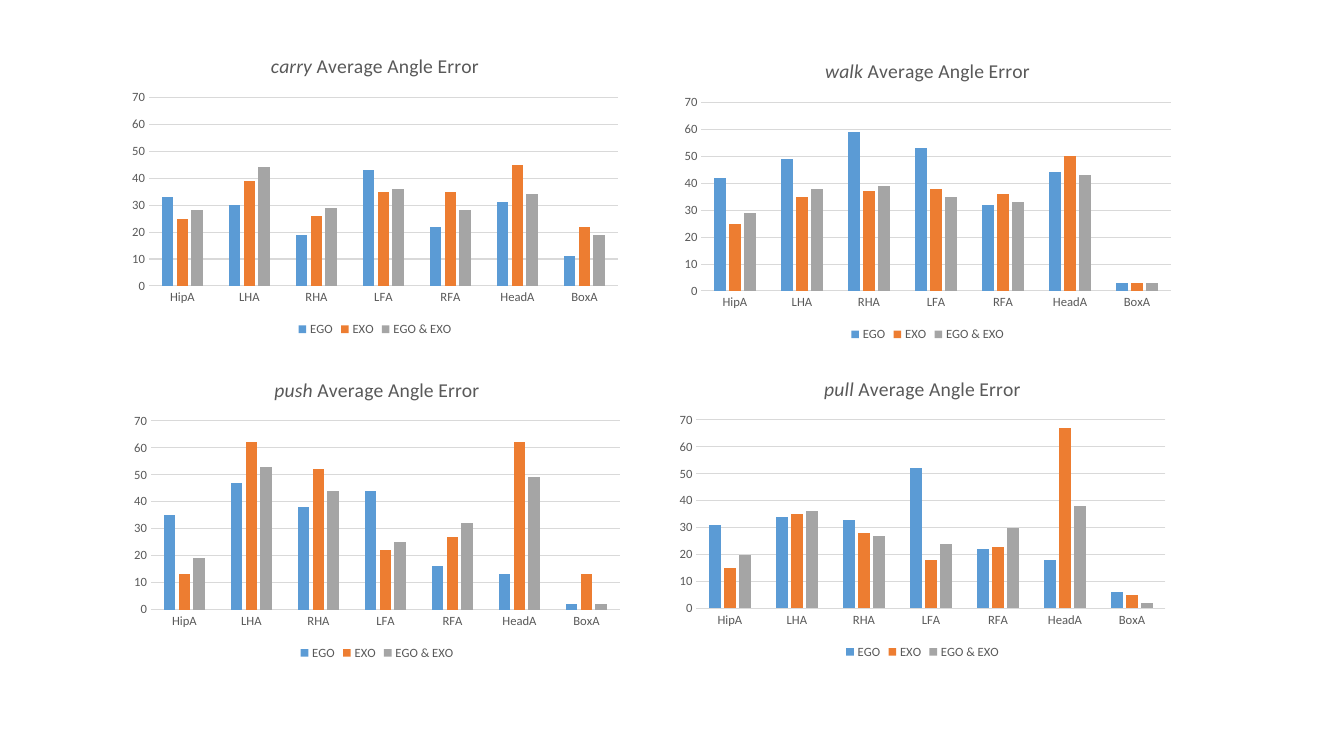
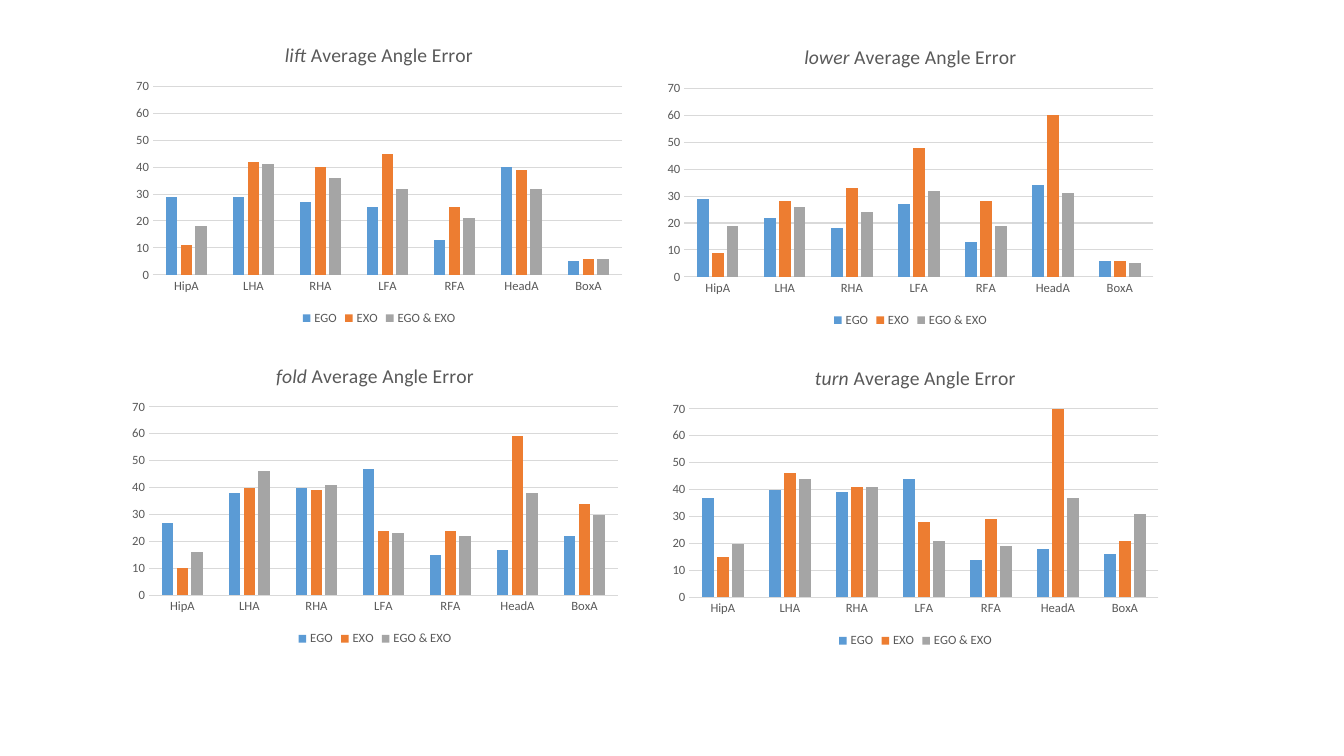
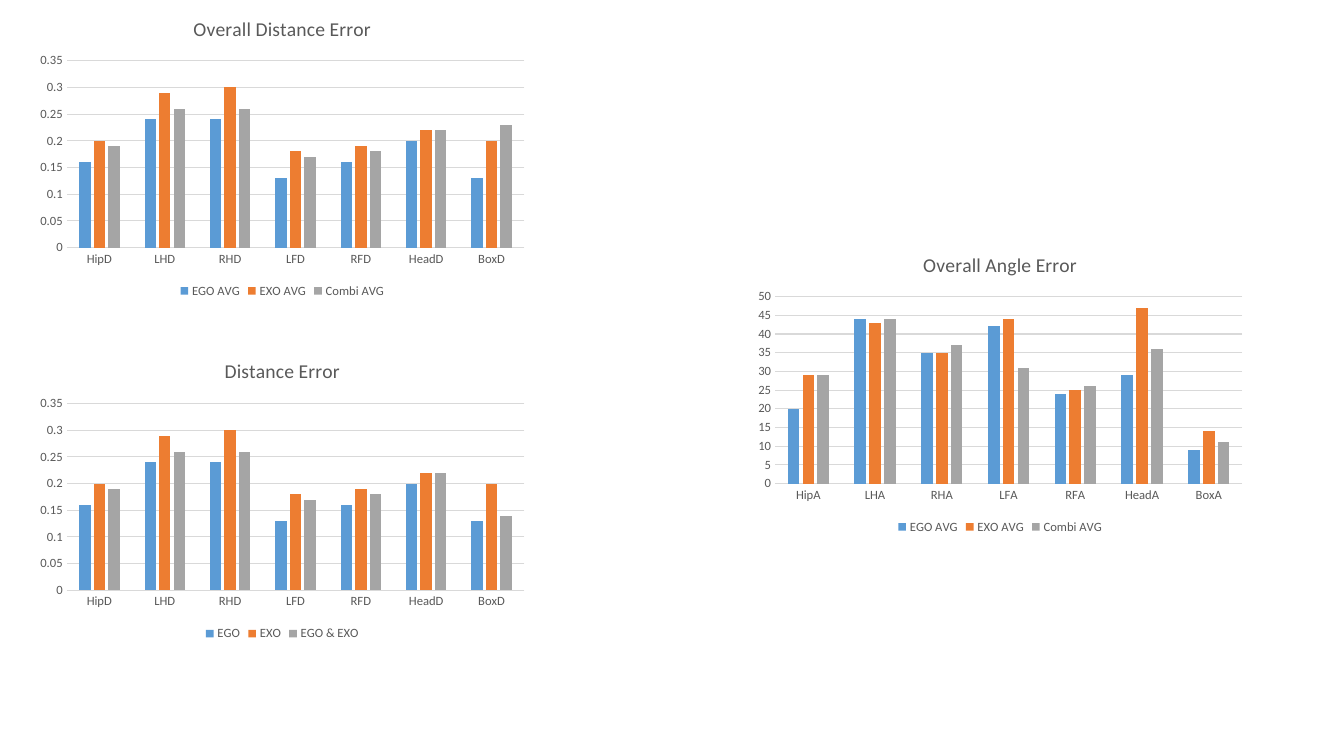
from pptx import Presentation
from pptx.chart.data import CategoryChartData
from pptx.dml.color import RGBColor
from pptx.enum.chart import XL_CHART_TYPE, XL_LEGEND_POSITION, XL_TICK_MARK
from pptx.util import Inches, Pt

PARTS = ["Hip", "LH", "RH", "LF", "RF", "Head", "Box"]
MODES = ["EGO", "EXO", "EGO & EXO"]
MEANS = ["EGO AVG", "EXO AVG", "Combi AVG"]

TASKS = [
    [
        ("carry", 1.21, 0.38, [[33, 30, 19, 43, 22, 31, 11],
                               [25, 39, 26, 35, 35, 45, 22],
                               [28, 44, 29, 36, 28, 34, 19]]),
        ("pull", 6.64, 3.58, [[31, 34, 33, 52, 22, 18, 6],
                              [15, 35, 28, 18, 23, 67, 5],
                              [20, 36, 27, 24, 30, 38, 2]]),
        ("push", 1.23, 3.59, [[35, 47, 38, 44, 16, 13, 2],
                              [13, 62, 52, 22, 27, 62, 13],
                              [19, 53, 44, 25, 32, 49, 2]]),
        ("walk", 6.69, 0.43, [[42, 49, 59, 53, 32, 44, 3],
                              [25, 35, 37, 38, 36, 50, 3],
                              [29, 38, 39, 35, 33, 43, 3]]),
    ],
    [
        ("fold", 1.21, 3.45, [[27, 38, 40, 47, 15, 17, 22],
                              [10, 40, 39, 24, 24, 59, 34],
                              [16, 46, 41, 23, 22, 38, 30]]),
        ("lift", 1.25, 0.27, [[29, 29, 27, 25, 13, 40, 5],
                              [11, 42, 40, 45, 25, 39, 6],
                              [18, 41, 36, 32, 21, 32, 6]]),
        ("lower", 6.52, 0.29, [[29, 22, 18, 27, 13, 34, 6],
                               [9, 28, 33, 48, 28, 60, 6],
                               [19, 26, 24, 32, 19, 31, 5]]),
        ("turn", 6.57, 3.47, [[37, 40, 39, 44, 14, 18, 16],
                              [15, 46, 41, 28, 29, 72, 21],
                              [20, 44, 41, 21, 19, 37, 31]]),
    ],
]

EGO = [0.16, 0.24, 0.24, 0.13, 0.16, 0.2, 0.13]
EXO = [0.2, 0.29, 0.3, 0.18, 0.19, 0.22, 0.2]
BOTH = [0.19, 0.26, 0.26, 0.17, 0.18, 0.22]
ANGLE = [[20, 44, 35, 42, 24, 29, 9],
         [29, 43, 35, 44, 25, 47, 14],
         [29, 44, 37, 31, 26, 36, 11]]


def tint(code):
    return RGBColor.from_string(code)


class Deck:
    face = "Calibri"
    ink = "595959"
    rule = "D9D9D9"
    fills = ["5B9BD5", "ED7D31", "A5A5A5"]

    def __init__(self):
        self.prs = Presentation()
        self.prs.slide_width = Inches(13.33)
        self.prs.slide_height = Inches(7.5)

    def page(self):
        self.slide = self.prs.slides.add_slide(self.prs.slide_layouts[6])

    def font(self, font, size):
        font.name = self.face
        font.size = Pt(size)
        font.bold = False
        font.color.rgb = tint(self.ink)

    def line(self, line):
        line.color.rgb = tint(self.rule)
        line.width = Pt(0.75)

    def title(self, chart, text, verb):
        chart.has_title = True
        head = chart.chart_title
        head.include_in_layout = False
        para = head.text_frame.paragraphs[0]
        para.text = verb or text
        if verb:
            para.add_run().text = " " + text
        for run in para.runs:
            self.font(run.font, 14)
        para.runs[0].font.italic = bool(verb)

    def axes(self, chart, top, step):
        base, scale = chart.category_axis, chart.value_axis
        for axis in (base, scale):
            axis.major_tick_mark = XL_TICK_MARK.NONE
            axis.minor_tick_mark = XL_TICK_MARK.NONE
            self.font(axis.tick_labels.font, 9)
        self.line(base.format.line)
        scale.format.line.fill.background()
        scale.minimum_scale = 0
        scale.maximum_scale = top
        scale.major_unit = step
        scale.has_major_gridlines = True
        self.line(scale.major_gridlines.format.line)

    def chart(self, text, left, top, wide, unit, names, rows, peak, step, verb=""):
        data = CategoryChartData()
        data.categories = [part + unit for part in PARTS]
        for name, row in zip(names, rows):
            data.add_series(name, row)
        chart = self.slide.shapes.add_chart(
            XL_CHART_TYPE.COLUMN_CLUSTERED, Inches(left), Inches(top),
            Inches(wide), Inches(3), data).chart
        chart.font.name = self.face
        chart.font.size = Pt(10)
        self.title(chart, text, verb)
        self.axes(chart, peak, step)
        chart.has_legend = True
        chart.legend.position = XL_LEGEND_POSITION.BOTTOM
        chart.legend.include_in_layout = False
        self.font(chart.legend.font, 9)
        plot = chart.plots[0]
        plot.vary_by_categories = False
        plot.gap_width = 219
        plot.overlap = -27
        for bar, code in zip(plot.series, self.fills):
            bar.format.fill.solid()
            bar.format.fill.fore_color.rgb = tint(code)
            bar.invert_if_negative = False


def main():
    deck = Deck()
    for tasks in TASKS:
        deck.page()
        for verb, left, top, rows in tasks:
            deck.chart("Average Angle Error", left, top, 5.02, "A", MODES,
                       rows, 70, 10, verb)
    deck.page()
    deck.chart("Overall Distance Error", 0.3, 0, 5, "D", MEANS,
               [EGO, EXO, BOTH + [0.23]], 0.35, 0.05)
    deck.chart("Overall Angle Error", 7.42, 2.34, 5, "A", MEANS, ANGLE, 50, 5)
    deck.chart("Distance Error", 0.3, 3.4, 5, "D", MODES,
               [EGO, EXO, BOTH + [0.14]], 0.35, 0.05)
    deck.prs.save("out.pptx")


if __name__ == "__main__":
    main()
